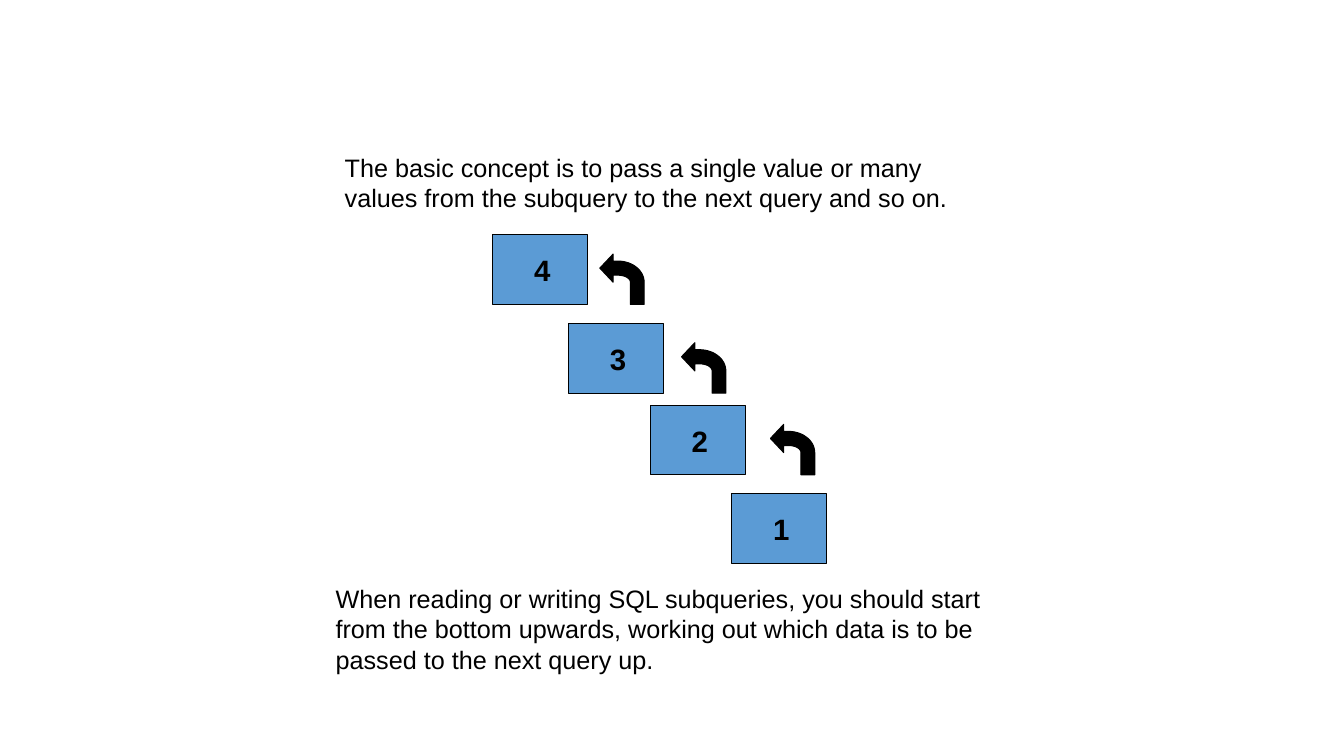
import math
import pptx
import pptx.util
import pptx.dml.color
import pptx.enum.shapes
import pptx.enum.text

presentation = pptx.Presentation()
presentation.slide_width = pptx.util.Inches(13.33)
presentation.slide_height = pptx.util.Inches(7.5)
slide = presentation.slides.add_slide(presentation.slide_layouts[6])

# Grid of 100 columns by 100 rows
COLUMN = presentation.slide_width / 100
ROW = presentation.slide_height / 100


def paint(shape, fill, line):
    shape.shadow.inherit = False
    shape.fill.solid()
    shape.fill.fore_color.rgb = pptx.dml.color.RGBColor.from_string(fill)
    shape.line.color.rgb = pptx.dml.color.RGBColor.from_string(line)
    shape.line.width = pptx.util.Pt(0.75)


def add_text(left, top, width, height, lines, wrap, font_format):
    box = slide.shapes.add_textbox(
        round(left * COLUMN), round(top * ROW), round(width * COLUMN), round(height * ROW))
    frame = box.text_frame
    frame.word_wrap = wrap
    frame.auto_size = pptx.enum.text.MSO_AUTO_SIZE.SHAPE_TO_FIT_TEXT
    frame.text = "\n".join(lines)
    for paragraph in frame.paragraphs:
        for run in paragraph.runs:
            run.font.color.rgb = pptx.dml.color.RGBColor.from_string("000000")
            for name, value in font_format.items():
                setattr(run.font, name, value)


body_format = {"name": "Arial", "size": pptx.util.Pt(18)}
number_format = {"name": "Arial", "size": pptx.util.Pt(21), "bold": True}

# Introduction
add_text(24.91, 19.47, 48.31, 9.47,
         ["The basic concept is to pass a single value or many",
          "values from the subquery to the next query and so on."], True, body_format)

# Bent arrow outline, as shares of the arrow's width and height
angles = [math.radians(degrees) for degrees in range(0, 91, 6)]
outer_bend = [(0.41 + 0.59 * math.sin(a), 0.56 - 0.42 * math.cos(a)) for a in angles]
inner_bend = [(0.41 + 0.28 * math.cos(a), 0.56 - 0.14 * math.sin(a)) for a in angles]
arrow_outline = [(0, 0.28), (0.3, 0), (0.3, 0.14), *outer_bend,
                 (1, 1), (0.69, 1), *inner_bend, (0.3, 0.42), (0.3, 0.56)]
ARROW_WIDTH, ARROW_HEIGHT = 3.3 * COLUMN, 6.67 * ROW

# Staircase of queries: number, left, top, distance to its arrow
steps = [("4", 36.68, 31.07, 7.95), ("3", 42.31, 42.8, 8.4),
         ("2", 48.39, 53.6, 8.93), ("1", 54.46, 65.33, None)]
for number, left, top, arrow_offset in steps:
    query = slide.shapes.add_shape(
        pptx.enum.shapes.MSO_SHAPE.RECTANGLE,
        round(left * COLUMN), round(top * ROW), round(7.05 * COLUMN), round(9.2 * ROW))
    paint(query, "5B9BD5", "000000")
    add_text(left + 2.33, top + 1.67, 2.7, 6, [number], False, number_format)
    if arrow_offset:
        arrow_left, arrow_top = (left + arrow_offset) * COLUMN, (top + 2.53) * ROW
        points = [(round(arrow_left + x * ARROW_WIDTH), round(arrow_top + y * ARROW_HEIGHT))
                  for x, y in arrow_outline]
        builder = slide.shapes.build_freeform(*points[0])
        builder.add_line_segments(points[1:], close=True)
        paint(builder.convert_to_shape(), "000000", "000000")

# Reading advice
add_text(24.23, 76.53, 53.04, 13.47,
         ["When reading or writing SQL subqueries, you should start from the bottom upwards, "
          "working out which data is to be passed to the next query up."], True, body_format)

presentation.save("out.pptx")
